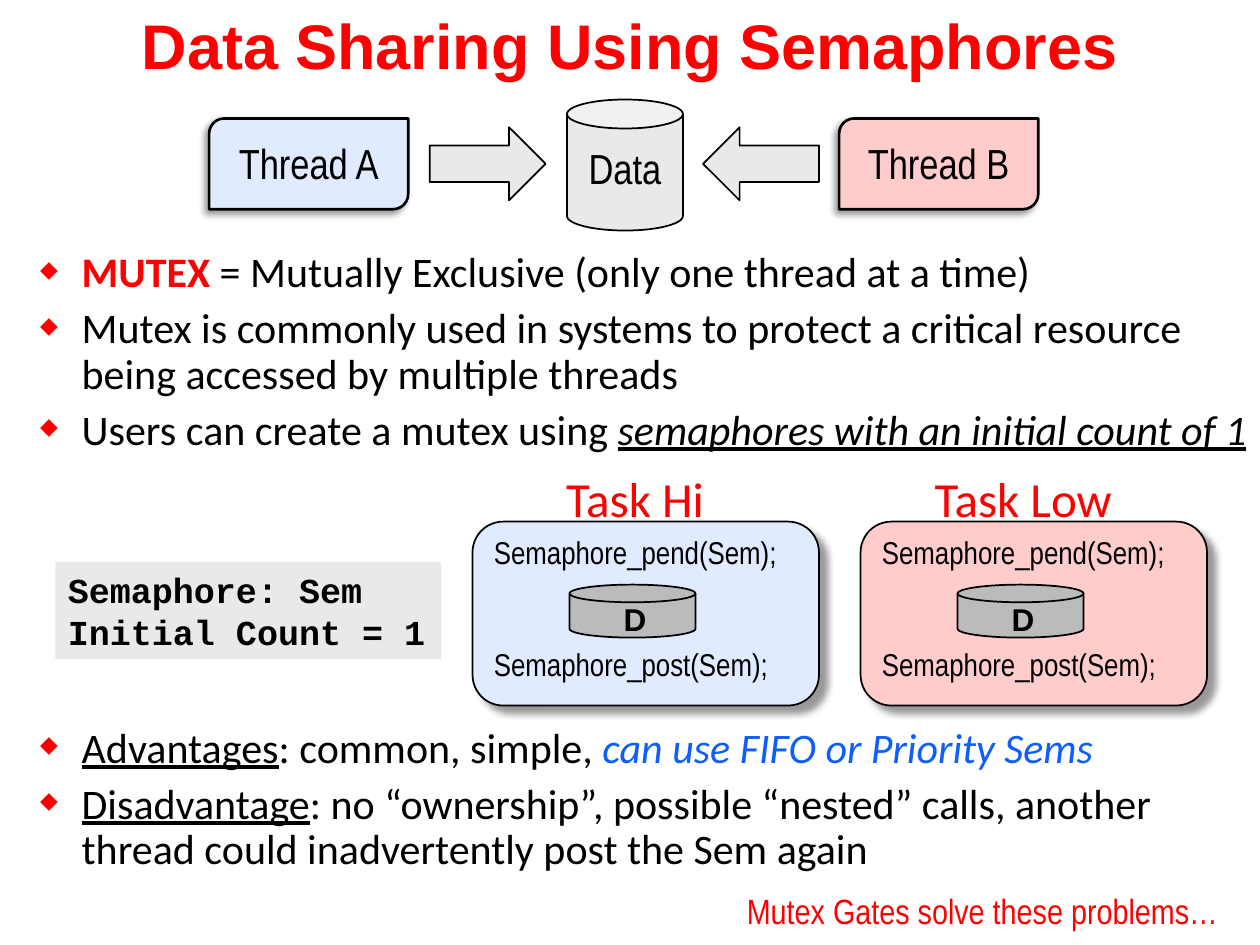
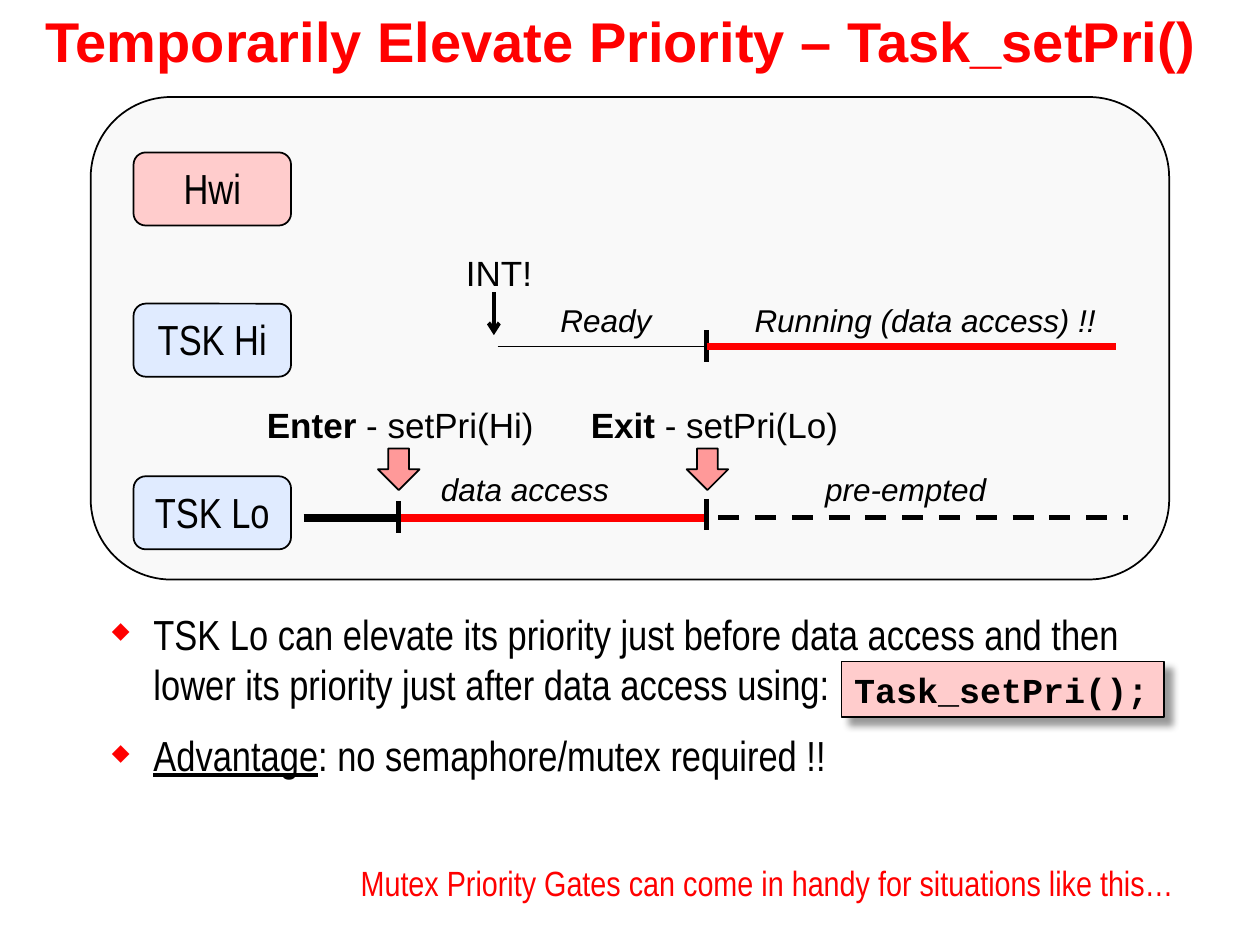
import pptx
import pptx.util
import pptx.dml.color
import pptx.enum.dml
import pptx.enum.shapes
import pptx.enum.text
import pptx.oxml.ns
import lxml.etree

Form = pptx.enum.shapes.MSO_SHAPE
Side = pptx.enum.text.PP_ALIGN
Hold = pptx.enum.text.MSO_ANCHOR
Pt = pptx.util.Pt
qn = pptx.oxml.ns.qn


class Theme:
    black, red, blue = "000000", "FF0000", "0D5DFF"
    sky, rose, coral = "E0EBFF", "FFCCCC", "FF9999"
    pale, mist, steel = "F9F9F9", "E9E9E9", "BBBBBB"
    looks = {
        "title": dict(name="Arial", size=Pt(36), bold=True),
        "wide": dict(name="Arial", size=Pt(32), bold=True),
        "label": dict(name="Arial Narrow", size=Pt(24)),
        "code": dict(name="Arial Narrow", size=Pt(18)),
        "foot": dict(name="Arial Narrow", size=Pt(20)),
        "body": dict(name="Calibri", size=Pt(24)),
        "task": dict(name="Calibri", size=Pt(28)),
        "disk": dict(name="Arial", size=Pt(18), bold=True),
        "mono": dict(name="Courier New", size=Pt(20), bold=True),
        "event": dict(name="Arial", size=Pt(20)),
        "state": dict(name="Arial", size=Pt(18), italic=True),
    }
    near = dict(blurRad=Pt(4), dist=Pt(3), dir=135 * 60000)
    far = dict(blurRad=Pt(4), dist=Pt(6), dir=45 * 60000)
    snug = dict(alignment=Side.CENTER, line_spacing=0.8)
    tight = dict(alignment=Side.LEFT, line_spacing=0.8)
    foot = dict(alignment=Side.RIGHT, line_spacing=0.8)
    dense = dict(line_spacing=0.9, space_after=Pt(6))
    loose = dict(space_after=Pt(12))
    drop = (1, 1, 1, 0.5)  # label padding: left, top, right, bottom


deck = pptx.Presentation()
deck.slide_width, deck.slide_height = pptx.util.Inches(10), pptx.util.Inches(7.5)
cell = deck.slide_width / 100  # the grid has 100 columns and 75 rows
hue = pptx.dml.color.RGBColor.from_string


def grid(*cells):
    return [round(n * cell) for n in cells]


def put(slide, form, at, paras=(), look="label", color=Theme.black, fill=None, line=0,
        shade=None, para=None, pad=(1, 0.5, 1, 0.5), hold=Hold.MIDDLE, bullet=False, gap=0):
    """Add a text box (form None) or a shape; a paragraph is a list of (text, format) runs."""
    if form is None:
        shape = slide.shapes.add_textbox(*grid(*at))
    else:
        shape = slide.shapes.add_shape(form, *grid(*at))
        shape.shadow.inherit = False
        if shade:
            effect = shape._element.spPr.find(qn("a:effectLst"))
            cast = lxml.etree.SubElement(effect, qn("a:outerShdw"), rotWithShape="0",
                                         **{key: str(int(val)) for key, val in shade.items()})
            tint = lxml.etree.SubElement(cast, qn("a:srgbClr"), val=Theme.black)
            lxml.etree.SubElement(tint, qn("a:alpha"), val="40000")
        shape.fill.solid()
        shape.fill.fore_color.rgb = hue(fill)
        if line:
            shape.line.color.rgb = hue(Theme.black)
            shape.line.width = Pt(line)
        else:
            shape.line.fill.background()
    frame = shape.text_frame
    frame.word_wrap = form is not None
    frame.vertical_anchor = hold
    for side, room in zip(("left", "top", "right", "bottom"), grid(*pad)):
        setattr(frame, "margin_" + side, room)
    for n, runs in enumerate(paras):
        part = frame.add_paragraph() if n else frame.paragraphs[0]
        for key, val in {"alignment": Side.LEFT, **(para or {})}.items():
            setattr(part, key, val)
        if n and gap:
            part.space_before = Pt(gap)
        if bullet:
            props = part._p.get_or_add_pPr()
            props.set("marL", str(grid(3.8)[0]))
            props.set("indent", str(grid(-3.3)[0]))
            tint = lxml.etree.SubElement(props, qn("a:buClr"))
            lxml.etree.SubElement(tint, qn("a:srgbClr"), val=Theme.red)
            lxml.etree.SubElement(props, qn("a:buSzPct"), val="55000")
            lxml.etree.SubElement(props, qn("a:buChar"), char="◆")
        for words, extra in ([(runs, {})] if isinstance(runs, str) else runs):
            style = {**Theme.looks[look], **extra}
            tone = style.pop("color", color)
            for k, piece in enumerate(words.split("\n")):
                if k:
                    part.add_line_break()
                run = part.add_run()
                run.text = piece
                for key, val in style.items():
                    setattr(run.font, key, val)
                run.font.color.rgb = hue(tone)
    return shape


# Shared title and closing line
slides = []
for title, look, wide, close, right, top in (
        ("Data Sharing Using Semaphores", "title", 100,
         "Mutex Gates solve these problems…", 96.7, 71.2),
        ("Temporarily Elevate Priority – Task_setPri()", "wide", 98.6,
         "Mutex Priority Gates can come in handy for situations like this…", 93.2, 69)):
    slide = deck.slides.add_slide(deck.slide_layouts[6])
    put(slide, None, (0, 0, wide, 8.1), [title], look, Theme.red,
        para=dict(alignment=Side.CENTER), hold=Hold.TOP)
    put(slide, None, (right - 65, top, 65, 2.7), [close], "foot", Theme.red,
        para=Theme.foot, pad=(0, 0, 0, 0), hold=Hold.BOTTOM)
    slides.append(slide)
share, raise_ = slides
under = dict(underline=True)

# Two threads reaching for the same data
for left, name, fill in ((16.6, "Thread A", Theme.sky), (66.6, "Thread B", Theme.rose)):
    put(share, Form.ROUND_2_DIAG_RECTANGLE, (left, 9.4, 15.8, 7.2), [name], fill=fill,
        line=1.5, shade=Theme.near, para=Theme.snug, pad=Theme.drop)
put(share, Form.CAN, (45, 7.9, 9.2, 10.4), ["Data"], fill=Theme.mist, line=1,
    para=Theme.snug)
for left, turn in ((34.1, 0), (55.8, 180)):
    arrow = put(share, Form.RIGHT_ARROW, (left, 10.1, 9.2, 5.8), fill=Theme.mist, line=1)
    arrow.rotation = turn

# Bullets above and below the tasks
put(share, None, (1.7, 19.4, 99.2, 17.2), [
    [("MUTEX", dict(bold=True, color=Theme.red)),
     (" = Mutually Exclusive (only one thread at a time)", {})],
    "Mutex is commonly used in systems to protect a critical resource\n"
    "being accessed by multiple threads",
    [("Users can create a mutex using ", {}),
     ("semaphores with an initial count of 1", dict(italic=True, underline=True))],
], "body", para=Theme.dense, bullet=True)
put(share, None, (1.7, 57.1, 91.5, 12.8), [
    [("Advantages", under), (": common, simple, ", {}),
     ("can use FIFO or Priority Sems", dict(italic=True, color=Theme.blue))],
    [("Disadvantage", under),
     (": no “ownership”, possible “nested” calls, another\n"
      "thread could inadvertently post the Sem again", {})],
], "body", para=Theme.dense, bullet=True)

# Tasks guarded by the semaphore
for n, (name, fill) in enumerate((("Task Hi", Theme.sky), ("Task Low", Theme.rose))):
    left = 37.5 + n * 30.8
    put(share, Form.ROUNDED_RECTANGLE, (left, 41.4, 27.5, 14.6),
        ["Semaphore_pend(Sem);", "Semaphore_post(Sem);"], "code", fill=fill, line=1,
        shade=Theme.far, para=dict(line_spacing=0.6), gap=51)
    put(share, None, (left + 2.9, 37.6, 20, 4.9), [name], "task", Theme.red,
        para=Theme.snug, hold=Hold.TOP)
    put(share, Form.FLOWCHART_MAGNETIC_DISK, (left + 7.7, 46.4, 10, 4.2),
        fill=Theme.steel, line=1)
    put(share, None, (left + 11, 47.7, 3.8, 3.4), ["D"], "disk",
        para=Theme.tight, hold=Hold.TOP)
put(share, Form.RECTANGLE, (4.4, 44.6, 30.6, 7.7),
    ["Semaphore: Sem", "Initial Count = 1"], "mono", fill=Theme.mist)

# Bullets on raising the priority
put(raise_, None, (7.4, 47.7, 83.4, 14.8), [
    "TSK Lo can elevate its priority just before data access and then\n"
    "lower its priority just after data access using:",
    [("Advantage", under), (": no semaphore/mutex required !!", {})],
], para=Theme.loose, bullet=True)
put(raise_, Form.RECTANGLE, (66.8, 52.5, 25.6, 4.4), ["Task_setPri();"], "mono",
    fill=Theme.rose, line=1, shade=Theme.far)

# Timeline panel and its rows
put(raise_, Form.ROUNDED_RECTANGLE, (7.2, 7.7, 85.6, 38.3), fill=Theme.pale, line=1)
for top, name, fill in ((12.1, "Hwi", Theme.rose), (24.1, "TSK Hi", Theme.sky),
                        (37.8, "TSK Lo", Theme.sky)):
    put(raise_, Form.ROUNDED_RECTANGLE, (10.6, top, 12.5, 5.8), [name], fill=fill,
        line=1, para=Theme.snug, pad=Theme.drop)

# Time spans, ticks and the interrupt
start, enter, leave, end = 24.1, 31.6, 56.1, 88.6
high, low = 27.5, 41.1
for x1, y1, x2, y2, color, width, kind in (
        (start, low, enter, low, Theme.black, 4.5, None),
        (enter, low, leave, low, Theme.red, 4.5, None),
        (leave + 0.9, low, end + 0.9, low, Theme.black, 3, "dash"),
        (39.5, high, leave, high, Theme.black, 1, None),
        (enter, 39.8, enter, 42.3, Theme.black, 3, None),
        (leave, 39.6, leave, 42.1, Theme.black, 3, None),
        (leave, 26.2, leave, 28.7, Theme.black, 3, None),
        (leave, high, end, high, Theme.red, 4.5, None),
        (39.2, 23.2, 39.2, 26.6, Theme.black, 2.25, "arrow")):
    span = raise_.shapes.add_connector(pptx.enum.shapes.MSO_CONNECTOR.STRAIGHT,
                                       *grid(x1, y1, x2, y2))
    span.line.color.rgb = hue(color)
    span.line.width = Pt(width)
    props = span._element.spPr
    if kind == "dash":
        span.line.dash_style = pptx.enum.dml.MSO_LINE.DASH
    elif kind == "arrow":
        lxml.etree.SubElement(props.find(qn("a:ln")), qn("a:tailEnd"), type="arrow")
    lxml.etree.SubElement(props, qn("a:effectLst"))

# Calls that change the priority
for mid, left, wide, name, call in ((enter, 20.2, 23.4, "Enter", " - setPri(Hi)"),
                                    (leave, 45.9, 21.8, "Exit", " - setPri(Lo)")):
    put(raise_, Form.DOWN_ARROW, (mid - 1.6, 35.6, 3.3, 3.3), fill=Theme.coral, line=1)
    put(raise_, None, (left, 31.5, wide, 4.4), [[(name, dict(bold=True)), (call, {})]], "event")

# State of each span
put(raise_, None, (36, 19.4, 7.3, 4.4), ["INT!"], "event")
for left, top, wide, state in ((43.5, 23.4, 9.3, "Ready"),
                               (58.9, 23.4, 29.4, "Running (data access) !!"),
                               (34, 36.8, 15.5, "data access"),
                               (64.5, 36.8, 14.9, "pre-empted")):
    put(raise_, None, (left, top, wide, 4), [state], "state")

deck.save("out.pptx")
